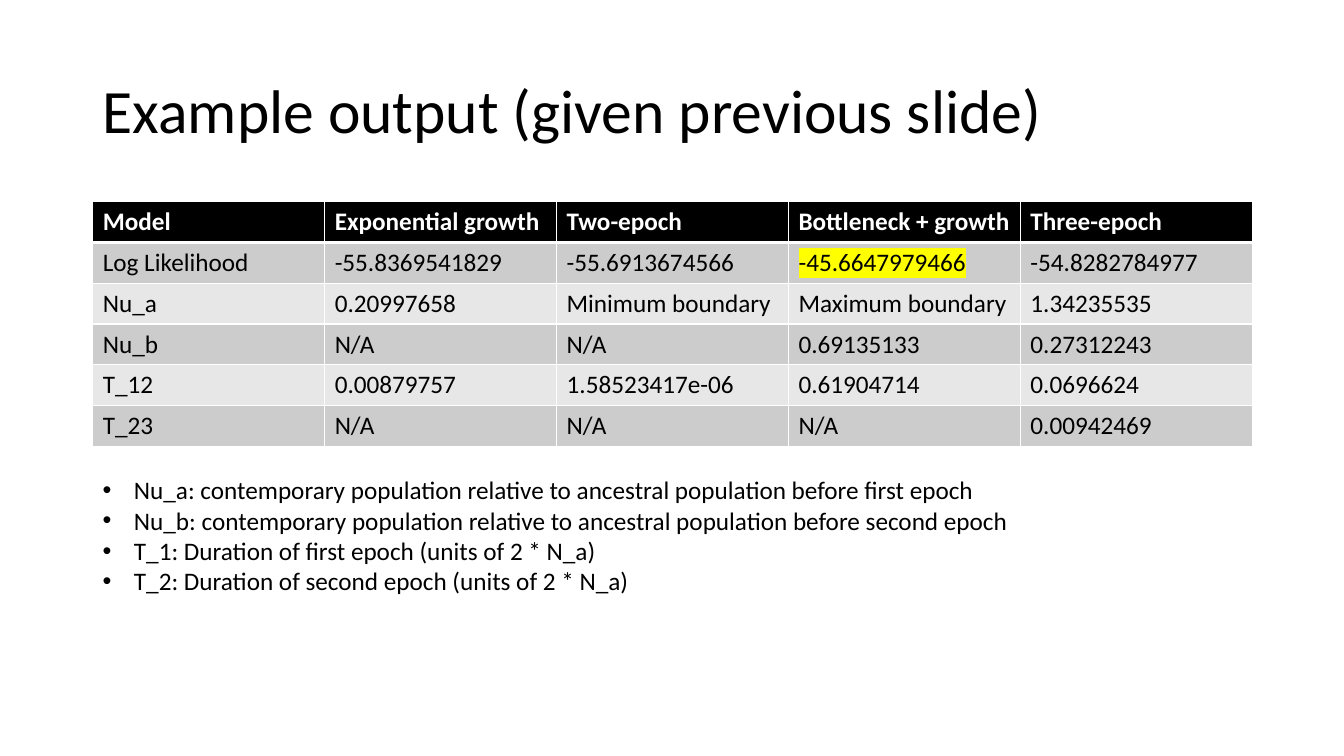
from dataclasses import dataclass

from lxml import etree
from pptx import Presentation
from pptx import util as u
from pptx.dml.color import RGBColor
from pptx.enum import text
from pptx.oxml.ns import qn


@dataclass(frozen=True)
class Theme:
    font: str = "Calibri"
    title_size: int = 44
    body_size: int = 18
    ink: str = "000000"
    paper: str = "FFFFFF"
    bands: tuple = ("CCCCCC", "E7E7E7")
    marker: str = "FFFF00"
    thin: int = 1
    thick: int = 3


THEME = Theme()

# Grid: five columns between equal side margins
MARGIN, COLUMN, COLUMNS = 0.92, 2.3, 5
WIDTH = COLUMN * COLUMNS
TITLE_BOX = (MARGIN, 0.4, WIDTH, 1.45)
RESULTS_BOX = (MARGIN, 2, WIDTH, 2.43)
LEGEND_BOX = (MARGIN, 4.66, 9.29, 1.31)

TITLE = "Example output (given previous slide)"
RESULTS = [
    ["Model", "Exponential growth", "Two-epoch", "Bottleneck + growth", "Three-epoch"],
    ["Log Likelihood", "-55.8369541829", "-55.6913674566", "-45.6647979466", "-54.8282784977"],
    ["Nu_a", "0.20997658", "Minimum boundary", "Maximum boundary", "1.34235535"],
    ["Nu_b", "N/A", "N/A", "0.69135133", "0.27312243"],
    ["T_12", "0.00879757", "1.58523417e-06", "0.61904714", "0.0696624"],
    ["T_23", "N/A", "N/A", "N/A", "0.00942469"],
]
BEST_FIT = (1, 3)
LEGEND = [
    "Nu_a: contemporary population relative to ancestral population before first epoch",
    "Nu_b: contemporary population relative to ancestral population before second epoch",
    "T_1: Duration of first epoch (units of 2 * N_a)",
    "T_2: Duration of second epoch (units of 2 * N_a)",
]


def inches(box):
    return [u.Inches(length) for length in box]


def add_color(parent, color):
    etree.SubElement(parent, qn("a:srgbClr"), val=color)


def write(paragraph, words, size=THEME.body_size, color=THEME.ink, bold=False,
          highlight=None, bullet=None, indent=0.31, spacing=None):
    if bullet:
        properties = paragraph._p.get_or_add_pPr()
        properties.set("marL", str(u.Inches(indent)))
        properties.set("indent", str(-u.Inches(indent)))
        etree.SubElement(properties, qn("a:buFont"), typeface="Arial")
        etree.SubElement(properties, qn("a:buChar"), char=bullet)
    if spacing:
        paragraph.line_spacing = spacing
    run = paragraph.add_run()
    run.text = words
    run.font.size = u.Pt(size)
    run.font.bold = bold
    run.font.color.rgb = RGBColor.from_string(color)
    if highlight:
        add_color(etree.SubElement(run.font._element, qn("a:highlight")), highlight)
    run.font.name = THEME.font


def add_borders(cell, top, bottom):
    properties = cell._tc.get_or_add_tcPr()
    sides = {"L": THEME.thin, "R": THEME.thin, "T": top, "B": bottom}
    for side, points in sides.items():
        line = etree.SubElement(properties, qn(f"a:ln{side}"), w=str(u.Pt(points)))
        add_color(etree.SubElement(line, qn("a:solidFill")), THEME.paper)


def add_title(slide, box):
    frame = slide.shapes.add_textbox(*inches(box)).text_frame
    frame.word_wrap = True
    frame.vertical_anchor = text.MSO_ANCHOR.MIDDLE
    write(frame.paragraphs[0], TITLE, size=THEME.title_size, spacing=0.9)


def add_results(slide, box):
    table = slide.shapes.add_table(len(RESULTS), COLUMNS, *inches(box)).table
    for r, values in enumerate(RESULTS):
        header = r == 0
        fill = THEME.ink if header else THEME.bands[(r - 1) % 2]
        for c, value in enumerate(values):
            cell = table.cell(r, c)
            # The rule under the header is thicker than the others
            add_borders(cell, top=THEME.thick if r == 1 else THEME.thin,
                        bottom=THEME.thick if header else THEME.thin)
            cell.fill.solid()
            cell.fill.fore_color.rgb = RGBColor.from_string(fill)
            write(cell.text_frame.paragraphs[0], value, bold=header,
                  color=THEME.paper if header else THEME.ink,
                  highlight=THEME.marker if (r, c) == BEST_FIT else None)


def add_legend(slide, box):
    frame = slide.shapes.add_textbox(*inches(box)).text_frame
    frame.word_wrap = False
    frame.auto_size = text.MSO_AUTO_SIZE.SHAPE_TO_FIT_TEXT
    for i, entry in enumerate(LEGEND):
        paragraph = frame.add_paragraph() if i else frame.paragraphs[0]
        write(paragraph, entry, bullet="•")


def main():
    deck = Presentation()
    deck.slide_width, deck.slide_height = u.Inches(13.33), u.Inches(7.5)
    slide = deck.slides.add_slide(deck.slide_layouts[6])
    add_title(slide, TITLE_BOX)
    add_results(slide, RESULTS_BOX)
    add_legend(slide, LEGEND_BOX)
    deck.save("out.pptx")


if __name__ == "__main__":
    main()
